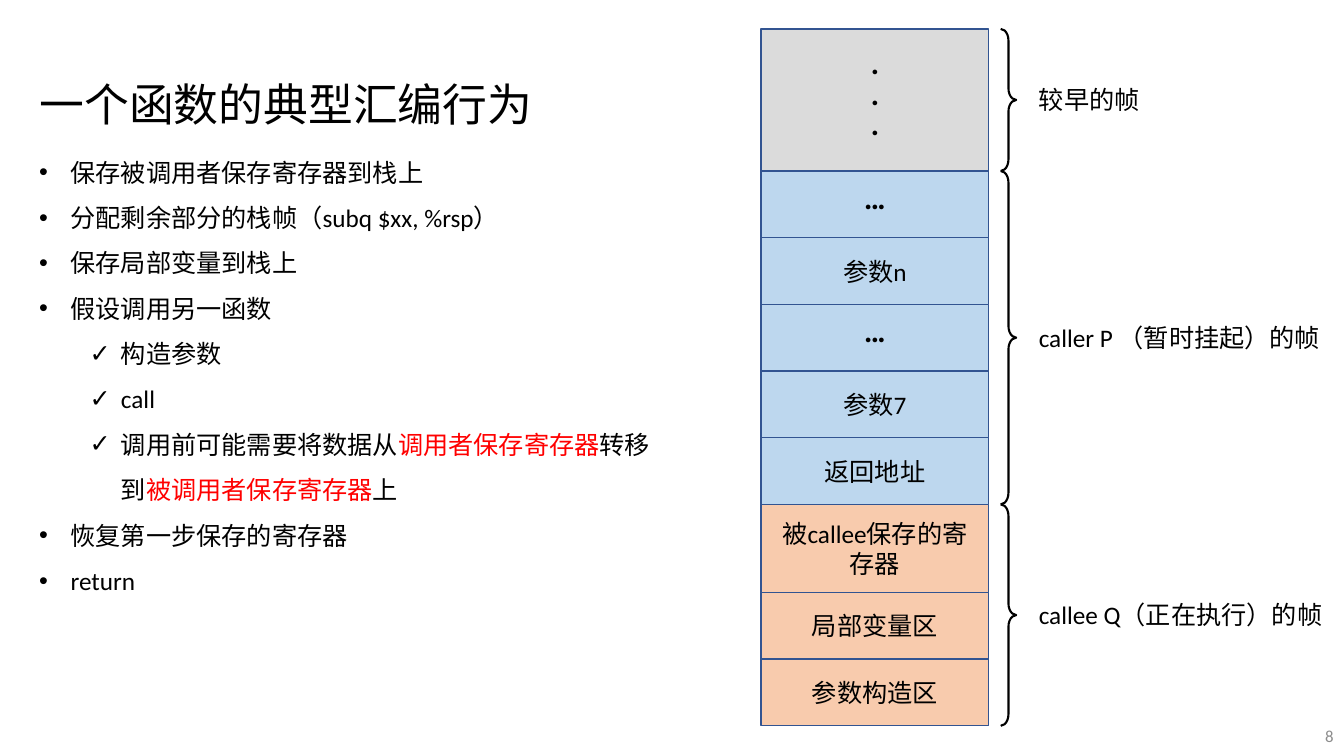
"""Build a slide on the usual assembly steps of a function and its stack frames."""
import dataclasses
import typing

import lxml.etree
import pptx
import pptx.dml.color
import pptx.enum.shapes
import pptx.enum.text
import pptx.oxml.ns
import pptx.util

Cm = pptx.util.Cm
Align = pptx.enum.text.PP_ALIGN
Anchor = pptx.enum.text.MSO_ANCHOR
Kind = pptx.enum.shapes.MSO_SHAPE

HUES = {
    "ink": "000000", "red": "FF0000", "gray": "8C8C8C", "edge": "325491",
    "old": "DBDBDB", "caller": "BDD7EE", "callee": "F8CBAD",
}
LEFT, WIDE, TOP = 19.18, 5.74, 0.73
ROW = 1.68


@dataclasses.dataclass
class Cell:
    text: str
    high: float = ROW
    bold: bool = False


@dataclasses.dataclass
class Frame:
    label: str
    hue: str
    wide: float
    cells: list[Cell]


@dataclasses.dataclass
class Point:
    texts: list[str]
    level: int = 0


FRAMES = [
    Frame("较早的帧", "old", 3.08, [Cell("·\n·\n·", 3.58, True)]),
    Frame("caller P （暂时挂起）的帧", "caller", 7.67, [
        Cell("···", bold=True), Cell("参数n"), Cell("···", bold=True),
        Cell("参数7"), Cell("返回地址"),
    ]),
    Frame("callee Q（正在执行）的帧", "callee", 7.72, [
        Cell("被callee保存的寄存器", 2.22), Cell("局部变量区"), Cell("参数构造区"),
    ]),
]
POINTS = [
    Point(["保存被调用者保存寄存器到栈上"]),
    Point(["分配剩余部分的栈帧（subq $xx, %rsp）"]),
    Point(["保存局部变量到栈上"]),
    Point(["假设调用另一函数"]),
    Point(["构造参数"], 1),
    Point(["call"], 1),
    Point(["调用前可能需要将数据从", "调用者保存寄存器", "转移到",
           "被调用者保存寄存器", "上"], 1),
    Point(["恢复第一步保存的寄存器"]),
    Point(["return"]),
]


def tone(hue: str) -> pptx.dml.color.RGBColor:
    """Return the named colour."""
    return pptx.dml.color.RGBColor.from_string(HUES[hue])


def say(para: typing.Any, text: str, *, size: float = 18, hue: str = "ink",
        bold: bool = False, align: Align = Align.LEFT) -> None:
    """Add one formatted run to a paragraph."""
    para.alignment = align
    run = para.add_run()
    run.text = text
    run.font.name = "Calibri"
    run.font.size = pptx.util.Pt(size)
    run.font.bold = bold
    run.font.color.rgb = tone(hue)


def lines(body: typing.Any, count: int) -> list[typing.Any]:
    """Return the given number of paragraphs of a text body."""
    while len(body.paragraphs) < count:
        body.add_paragraph()
    return list(body.paragraphs)


def box(slide: typing.Any, left: float, top: float, wide: float,
        high: float, anchor: Anchor = Anchor.TOP) -> typing.Any:
    """Add a wrapping text box and return its text body."""
    body = slide.shapes.add_textbox(Cm(left), Cm(top), Cm(wide), Cm(high)).text_frame
    body.word_wrap = True
    body.vertical_anchor = anchor
    return body


def shape(slide: typing.Any, kind: Kind, left: float, top: float, wide: float,
          high: float, *, edge: str, width: float, fill: str | None = None) -> typing.Any:
    """Add a flat outlined shape."""
    item = slide.shapes.add_shape(kind, Cm(left), Cm(top), Cm(wide), Cm(high))
    item.shadow.inherit = False
    if fill:
        item.fill.solid()
        item.fill.fore_color.rgb = tone(fill)
    else:
        item.fill.background()
    item.line.color.rgb = tone(edge)
    item.line.width = pptx.util.Pt(width)
    return item


def draw_cell(slide: typing.Any, cell: Cell, hue: str, top: float) -> None:
    """Draw one cell of the stack."""
    item = shape(slide, Kind.RECTANGLE, LEFT, top, WIDE, cell.high,
                 edge="edge", width=1, fill=hue)
    body = item.text_frame
    body.word_wrap = True
    body.vertical_anchor = Anchor.MIDDLE
    texts = cell.text.split("\n")
    for para, text in zip(lines(body, len(texts)), texts):
        say(para, text, bold=cell.bold, align=Align.CENTER)


def draw_frame(slide: typing.Any, frame: Frame, top: float) -> float:
    """Draw a frame with its brace and label, and return its lower edge."""
    end = top
    for cell in frame.cells:
        draw_cell(slide, cell, frame.hue, end)
        end += cell.high
    brace = shape(slide, Kind.RIGHT_BRACE, 25.22, top, 0.39, end - top,
                  edge="ink", width=1.5)
    brace.adjustments[0] = 0.75
    brace.adjustments[1] = 0.5
    label = box(slide, 25.93, (top + end) / 2 - 0.51, frame.wide, 1.02)
    say(label.paragraphs[0], frame.label)
    return end


def draw_point(para: typing.Any, point: Point) -> None:
    """Fill one bulleted paragraph, with every second text in red."""
    para.level = point.level
    para.line_spacing = 1.5
    for spot, text in enumerate(point.texts):
        say(para, text, hue="red" if spot % 2 else "ink")
    props = para._p.get_or_add_pPr()
    props.set("marL", str(Cm(0.79 + 1.27 * point.level)))
    props.set("indent", str(-Cm(0.79)))
    qn = pptx.oxml.ns.qn
    lxml.etree.SubElement(props, qn("a:buFont"), typeface="Arial")
    lxml.etree.SubElement(props, qn("a:buChar"), char="•✓"[point.level])


def draw_title(slide: typing.Any, text: str) -> None:
    """Place and fill the title."""
    title = slide.shapes.title
    title.left, title.top = Cm(0.74), Cm(1.8)
    title.width, title.height = Cm(14.83), Cm(1.63)
    body = title.text_frame
    body.vertical_anchor = Anchor.TOP
    body.auto_size = pptx.enum.text.MSO_AUTO_SIZE.NONE
    say(body.paragraphs[0], text, size=32)


def main() -> None:
    """Build and save the slide."""
    deck = pptx.Presentation()
    deck.slide_width, deck.slide_height = Cm(33.87), Cm(19.05)
    slide = deck.slides.add_slide(deck.slide_layouts[5])
    draw_title(slide, "一个函数的典型汇编行为")
    top = TOP
    for frame in FRAMES:
        top = draw_frame(slide, frame, top)
    body = box(slide, 0.74, 3.45, 16.18, 11.68)
    for para, point in zip(lines(body, len(POINTS)), POINTS):
        draw_point(para, point)
    page = box(slide, 26.24, 18.03, 7.62, 1.02, Anchor.MIDDLE)
    say(page.paragraphs[0], "8", size=12, hue="gray", align=Align.RIGHT)
    deck.save("out.pptx")


if __name__ == "__main__":
    main()
